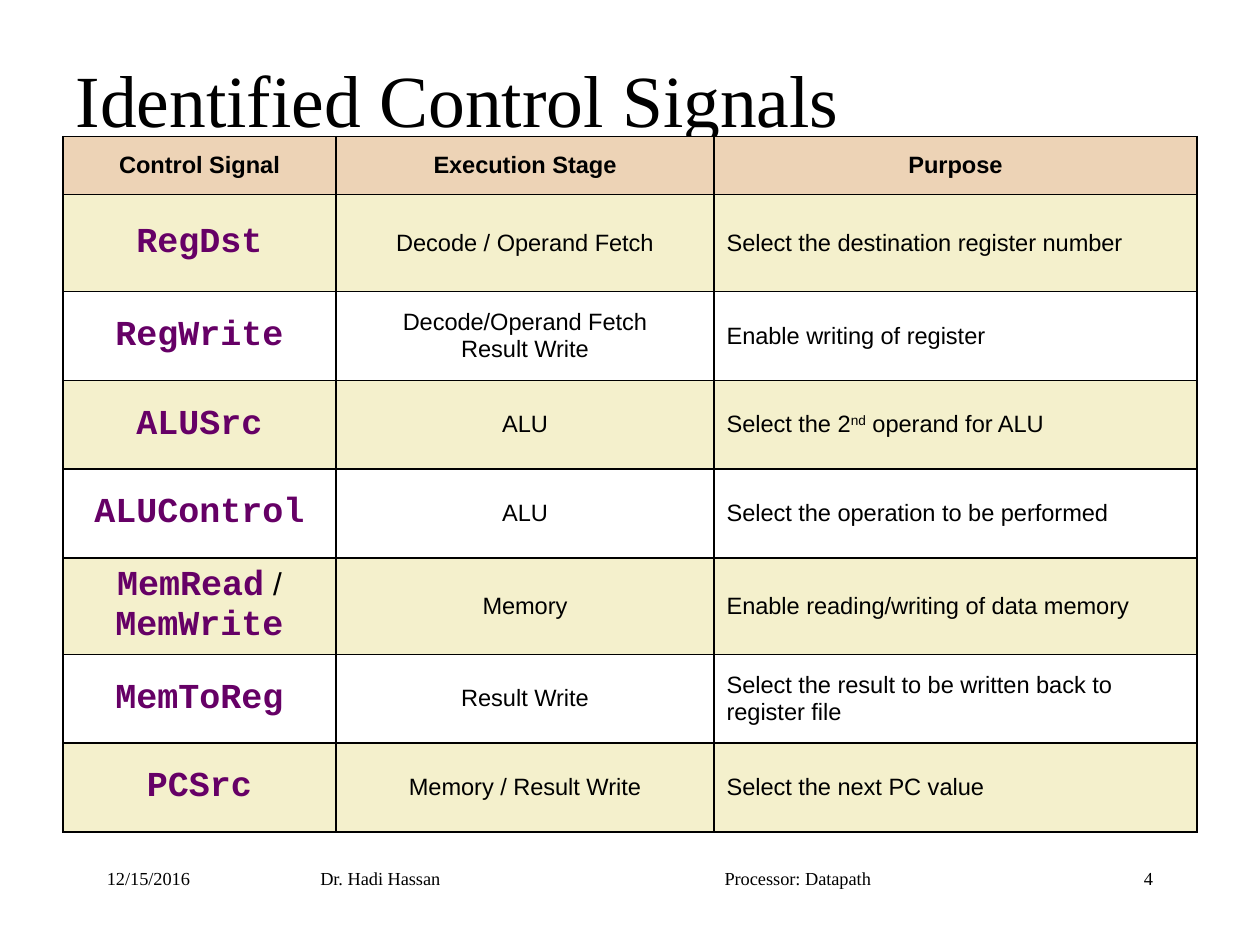
import pptx
import pptx.dml.color
import pptx.enum.text
import pptx.oxml
import pptx.oxml.ns
import pptx.util
from lxml import etree

Pt = pptx.util.Pt
RGBColor = pptx.dml.color.RGBColor
ALIGN = pptx.enum.text.PP_ALIGN
ANCHOR = pptx.enum.text.MSO_ANCHOR
qn = pptx.oxml.ns.qn

BLACK = RGBColor(0x00, 0x00, 0x00)
PURPLE = RGBColor(0x66, 0x00, 0x66)
HEADER_FILL = RGBColor(0xED, 0xD3, 0xB6)
BAND_FILL = RGBColor(0xCC, 0xB4, 0x00)
BAND_ALPHA = 20

SERIF = "Times New Roman"
SIGNAL = {"size": 20, "font": "Courier New", "color": PURPLE, "bold": True}
PLAIN = {"size": 13.5, "font": "Arial"}
HEADER = {**PLAIN, "bold": True}

TITLE = "Identified Control Signals"
HEADINGS = ["Control Signal", "Execution Stage", "Purpose"]
ROWS = [
    ("RegDst", "Decode / Operand Fetch", "Select the destination register number"),
    ("RegWrite", "Decode/Operand Fetch\nResult Write", "Enable writing of register"),
    ("ALUSrc", "ALU",
     ["Select the 2", ("nd", {"baseline": 30}), " operand for ALU"]),
    ("ALUControl", "ALU", "Select the operation to be performed"),
    (["MemRead", (" / ", {"size": 18, "font": "Arial", "color": BLACK, "bold": False}),
      "MemWrite"], "Memory", "Enable reading/writing of data memory"),
    ("MemToReg", "Result Write", "Select the result to be written back to register file"),
    ("PCSrc", "Memory / Result Write", "Select the next PC value"),
]
COLUMN_WIDTHS = [156, 216, 276]
ROW_HEIGHTS = [33.3, 55.4, 50.7, 50.7, 50.7, 53.4, 50.7, 50.7]
TABLE_LEFT, TABLE_TOP = 36, 78

FOOTER_TOP = 492
FOOTERS = [
    ("12/15/2016", 54, 150, 36, {}),
    ("Dr. Hadi Hassan\tProcessor: Datapath", 130, 420, 27,
     {"margin_left": 53, "tab_stop": 231}),
    ("4", 516, 150, 36, {"align": ALIGN.RIGHT}),
]


def format_run(run, size, font, color=BLACK, bold=False, baseline=0):
    run.font.size = Pt(size)
    run.font.name = font
    run.font.bold = bold
    run.font.color.rgb = color
    if baseline:
        run.font._element.set("baseline", str(baseline * 1000))


def write_text(text_frame, text, align=ALIGN.LEFT, tab_stop=None, **style):
    lines = text.split("\n") if isinstance(text, str) else [text]
    for index, line in enumerate(lines):
        paragraph = text_frame.add_paragraph() if index else text_frame.paragraphs[0]
        paragraph.alignment = align
        if tab_stop:
            tabs = etree.SubElement(paragraph._p.get_or_add_pPr(), qn("a:tabLst"))
            etree.SubElement(tabs, qn("a:tab"), pos=str(Pt(tab_stop)), algn="l")
        for piece in [line] if isinstance(line, str) else line:
            content, changes = (piece, {}) if isinstance(piece, str) else piece
            run = paragraph.add_run()
            run.text = content
            format_run(run, **{**style, **changes})


def set_borders(cell):
    properties = cell._tc.get_or_add_tcPr()
    for side in ("lnL", "lnR", "lnT", "lnB"):
        line = etree.SubElement(properties, qn(f"a:{side}"), w=str(Pt(1)))
        fill = etree.SubElement(line, qn("a:solidFill"))
        etree.SubElement(fill, qn("a:srgbClr"), val=str(BLACK))


def set_fill(cell, row_index):
    if row_index and row_index % 2 == 0:
        cell.fill.background()
        return
    cell.fill.solid()
    cell.fill.fore_color.rgb = BAND_FILL if row_index else HEADER_FILL
    if row_index:
        color = cell._tc.tcPr.find(qn("a:solidFill")).find(qn("a:srgbClr"))
        etree.SubElement(color, qn("a:alpha"), val=str(BAND_ALPHA * 1000))


def add_title(slide):
    title = slide.shapes.title
    title.left, title.top, title.width, title.height = Pt(36), Pt(21.6), Pt(648), Pt(74)
    text_frame = title.text_frame
    text_frame.auto_size = pptx.enum.text.MSO_AUTO_SIZE.NONE
    text_frame.vertical_anchor = ANCHOR.TOP
    text_frame.margin_top = Pt(9)
    write_text(text_frame, TITLE, size=42, font=SERIF)


def add_footers(slide):
    for text, left, width, height, options in FOOTERS:
        box = slide.shapes.add_textbox(Pt(left), Pt(FOOTER_TOP), Pt(width), Pt(height))
        text_frame = box.text_frame
        text_frame.word_wrap = True
        text_frame.margin_left = Pt(options.get("margin_left", 7.2))
        write_text(text_frame, text, size=10.5, font=SERIF,
                   align=options.get("align", ALIGN.LEFT),
                   tab_stop=options.get("tab_stop"))


def add_signal_table(slide):
    table = slide.shapes.add_table(
        len(ROWS) + 1, len(HEADINGS), Pt(TABLE_LEFT), Pt(TABLE_TOP),
        Pt(sum(COLUMN_WIDTHS)), Pt(sum(ROW_HEIGHTS))).table
    table.first_row = table.horz_banding = False
    for column, width in zip(table.columns, COLUMN_WIDTHS):
        column.width = Pt(width)
    for row, height in zip(table.rows, ROW_HEIGHTS):
        row.height = Pt(height)
    for row_index, texts in enumerate([HEADINGS, *ROWS]):
        styles = [SIGNAL, PLAIN, PLAIN] if row_index else [HEADER] * 3
        for column_index, (text, style) in enumerate(zip(texts, styles)):
            cell = table.cell(row_index, column_index)
            cell.vertical_anchor = ANCHOR.MIDDLE
            set_borders(cell)
            set_fill(cell, row_index)
            is_purpose = row_index and column_index == 2
            write_text(cell.text_frame, text,
                       align=ALIGN.LEFT if is_purpose else ALIGN.CENTER, **style)


def main():
    presentation = pptx.Presentation()
    presentation.slide_width, presentation.slide_height = Pt(720), Pt(540)
    slide = presentation.slides.add_slide(presentation.slide_layouts[5])
    add_footers(slide)
    add_title(slide)
    add_signal_table(slide)
    presentation.save("out.pptx")


if __name__ == "__main__":
    main()
